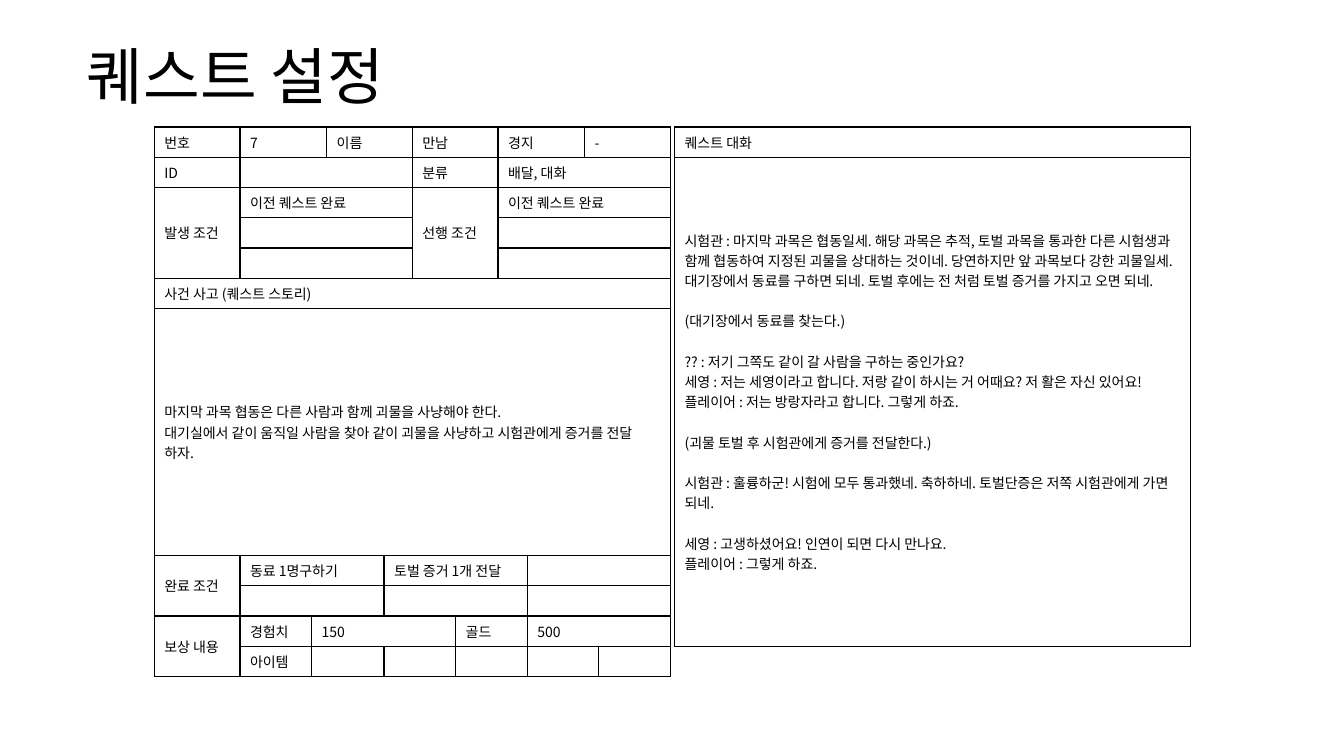
from dataclasses import dataclass

from lxml import etree
from pptx import Presentation
from pptx.dml.color import RGBColor
from pptx.enum.text import MSO_ANCHOR, MSO_AUTO_SIZE, PP_ALIGN
from pptx.oxml.ns import qn
from pptx.slide import Slide
from pptx.table import Table, _Cell
from pptx.text.text import _Paragraph
from pptx.util import Emu, Pt

PX = 9144  # EMU in one px, 100 px to the inch
BLACK = RGBColor(0x00, 0x00, 0x00)
FONT = "Noto Sans CJK KR"
TITLE_SIZE, CELL_SIZE = 44, 10
BLANK_LINE = Pt(14.5)
BORDER_WIDTH = Pt(1)
MIDDLE = MSO_ANCHOR.MIDDLE
LEFT = PP_ALIGN.LEFT
NO_AUTOFIT = MSO_AUTO_SIZE.NONE
TITLE_ONLY = 5


@dataclass
class Entry:
    """A table cell, its span, and the paragraphs that follow a gap."""
    row: int
    column: int
    text: str = ""
    rows: int = 1
    columns: int = 1
    gaps: tuple[int, ...] = ()


@dataclass
class Grid:
    left: int
    top: int
    columns: list[int]
    rows: list[int]
    entries: list[Entry]


STORY = """마지막 과목 협동은 다른 사람과 함께 괴물을 사냥해야 한다.
대기실에서 같이 움직일 사람을 찾아 같이 괴물을 사냥하고 시험관에게 증거를 전달 하자."""

DIALOGUE = """시험관 : 마지막 과목은 협동일세. 해당 과목은 추적, 토벌 과목을 통과한 다른 시험생과 함께 협동하여 지정된 괴물을 상대하는 것이네. 당연하지만 앞 과목보다 강한 괴물일세. 대기장에서 동료를 구하면 되네. 토벌 후에는 전 처럼 토벌 증거를 가지고 오면 되네.
(대기장에서 동료를 찾는다.)
?? : 저기 그쪽도 같이 갈 사람을 구하는 중인가요?
세영 : 저는 세영이라고 합니다. 저랑 같이 하시는 거 어때요? 저 활은 자신 있어요!
플레이어 : 저는 방랑자라고 합니다. 그렇게 하죠.
(괴물 토벌 후 시험관에게 증거를 전달한다.)
시험관 : 훌륭하군! 시험에 모두 통과했네. 축하하네. 토벌단증은 저쪽 시험관에게 가면 되네.
세영 : 고생하셨어요! 인연이 되면 다시 만나요.
플레이어 : 그렇게 하죠."""

QUEST = Grid(
    153, 126,
    [85, 71, 15, 57, 28, 43, 42, 29, 57, 14, 71],
    [30] * 6 + [245] + [30] * 4,
    [
        Entry(0, 0, "번호"),
        *[Entry(0, 1 + 2 * index, text, columns=2)
          for index, text in enumerate(["7", "이름", "만남", "경지", "-"])],
        Entry(1, 0, "ID"),
        Entry(1, 1, columns=4),
        Entry(1, 5, "분류", columns=2),
        Entry(1, 7, "배달, 대화", columns=4),
        # Conditions
        Entry(2, 0, "발생 조건", rows=3),
        Entry(2, 5, "선행 조건", rows=3, columns=2),
        *[Entry(row, column, "이전 퀘스트 완료" if row == 2 else "", columns=4)
          for row in (2, 3, 4) for column in (1, 7)],
        # Story
        Entry(5, 0, "사건 사고 (퀘스트 스토리)", columns=11),
        Entry(6, 0, STORY, columns=11),
        # Completion
        Entry(7, 0, "완료 조건", rows=2),
        Entry(7, 1, "동료 1명구하기", columns=3),
        Entry(7, 4, "토벌 증거 1개 전달", columns=4),
        Entry(7, 8, columns=3),
        Entry(8, 1, columns=3),
        Entry(8, 4, columns=4),
        Entry(8, 8, columns=3),
        # Rewards
        Entry(9, 0, "보상 내용", rows=2),
        Entry(9, 1, "경험치"),
        Entry(9, 2, "150", columns=4),
        Entry(9, 6, "골드", columns=2),
        Entry(9, 8, "500", columns=3),
        Entry(10, 1, "아이템"),
        *[Entry(10, column, columns=2) for column in (2, 4, 6, 8)],
    ],
)

CONVERSATION = Grid(
    669, 126, [512], [30, 485],
    [Entry(0, 0, "퀘스트 대화"), Entry(1, 0, DIALOGUE, gaps=(1, 2, 5, 6, 7))],
)


def format_paragraph(paragraph: _Paragraph, size: int) -> None:
    for run in paragraph.runs:
        run.font.size = Pt(size)
        run.font.name = FONT
        run.font.bold = False
        run.font.color.rgb = BLACK
        etree.SubElement(run.font._element, qn("a:ea"), typeface=FONT)
    if not paragraph.runs:
        etree.SubElement(paragraph._p, qn("a:endParaRPr"), sz=str(size * 100))


def format_cell(cell: _Cell) -> None:
    cell.fill.background()
    cell.vertical_anchor = MIDDLE
    properties = cell._tc.get_or_add_tcPr()
    for index, side in enumerate(("lnL", "lnR", "lnT", "lnB")):
        line = etree.Element(qn(f"a:{side}"), w=str(BORDER_WIDTH))
        fill = etree.SubElement(line, qn("a:solidFill"))
        etree.SubElement(fill, qn("a:srgbClr"), val=str(BLACK))
        properties.insert(index, line)


def fill_entry(table: Table, entry: Entry) -> None:
    cell = table.cell(entry.row, entry.column)
    if entry.rows > 1 or entry.columns > 1:
        cell.merge(table.cell(entry.row + entry.rows - 1,
                              entry.column + entry.columns - 1))
    cell.text_frame.text = entry.text
    for index in entry.gaps:
        cell.text_frame.paragraphs[index].space_before = BLANK_LINE


def draw_grid(slide: Slide, grid: Grid) -> None:
    table = slide.shapes.add_table(
        len(grid.rows), len(grid.columns), Emu(grid.left * PX), Emu(grid.top * PX),
        Emu(sum(grid.columns) * PX), Emu(sum(grid.rows) * PX)).table
    table.first_row = False
    table.horz_banding = False
    for column, width in zip(table.columns, grid.columns):
        column.width = Emu(width * PX)
    for row, height in zip(table.rows, grid.rows):
        row.height = Emu(height * PX)
    for entry in grid.entries:
        fill_entry(table, entry)
    for cell in table.iter_cells():
        format_cell(cell)
        for paragraph in cell.text_frame.paragraphs:
            format_paragraph(paragraph, CELL_SIZE)


def draw_title(slide: Slide, text: str) -> None:
    title = slide.shapes.title
    title.left, title.top = Emu(76 * PX), Emu(32 * PX)
    title.width, title.height = Emu(1181 * PX), Emu(94 * PX)
    frame = title.text_frame
    frame.text = text
    frame.auto_size = NO_AUTOFIT
    frame.vertical_anchor = MIDDLE
    paragraph = frame.paragraphs[0]
    paragraph.alignment = LEFT
    paragraph.line_spacing = 0.9
    format_paragraph(paragraph, TITLE_SIZE)


def main() -> None:
    presentation = Presentation()
    presentation.slide_width = Emu(1333 * PX)
    presentation.slide_height = Emu(750 * PX)
    slide = presentation.slides.add_slide(presentation.slide_layouts[TITLE_ONLY])
    draw_title(slide, "퀘스트 설정")
    for grid in (QUEST, CONVERSATION):
        draw_grid(slide, grid)
    presentation.save("out.pptx")


if __name__ == "__main__":
    main()
